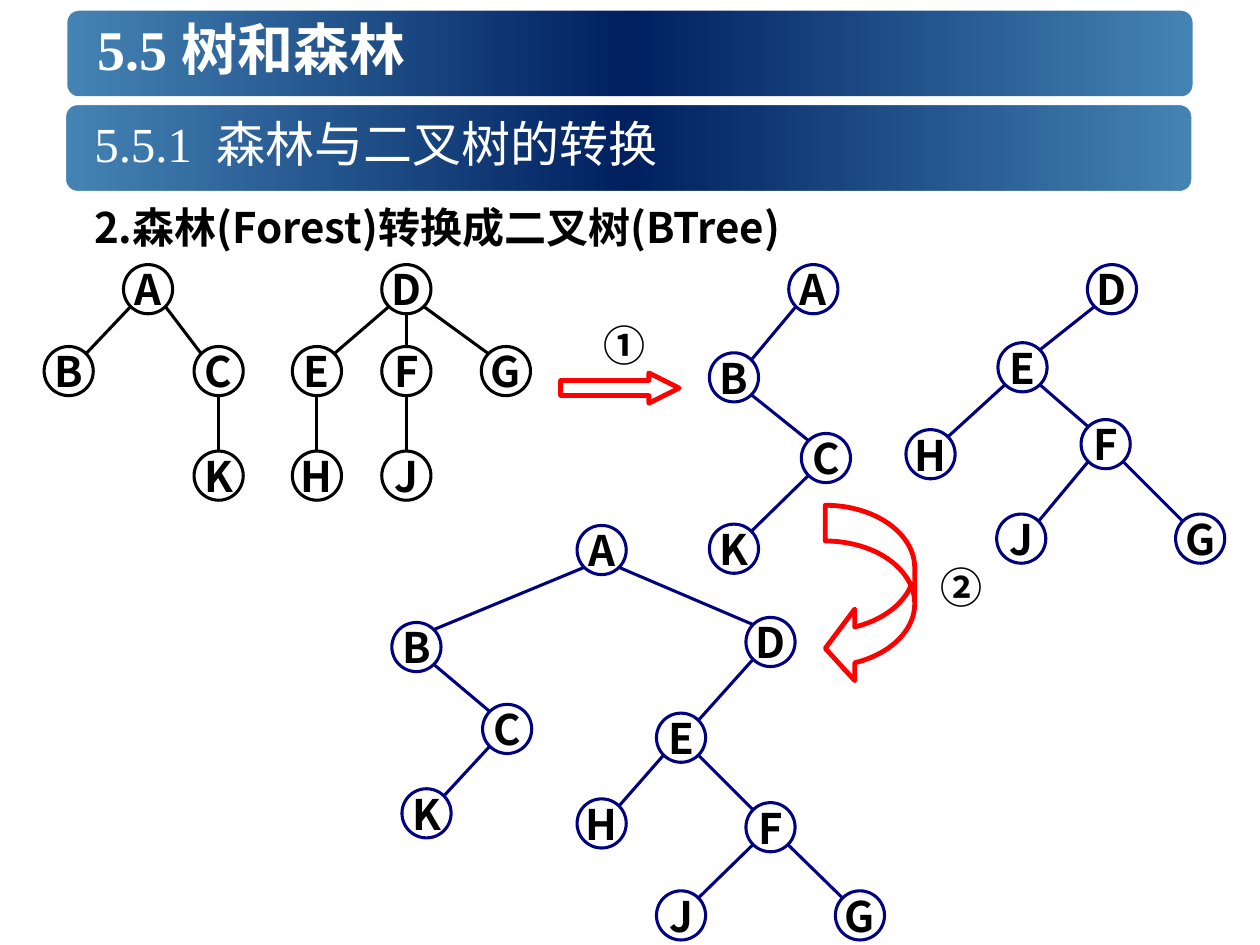
from copy import deepcopy
from math import sqrt

from pptx import Presentation
from pptx.dml.color import RGBColor
from pptx.enum.shapes import MSO_CONNECTOR, MSO_SHAPE
from pptx.enum.text import MSO_ANCHOR, MSO_AUTO_SIZE, PP_ALIGN
from pptx.oxml import parse_xml
from pptx.oxml.ns import nsdecls, qn
from pptx.util import Inches, Pt

STRAIGHT = MSO_CONNECTOR.STRAIGHT
OVAL, ROUNDED = MSO_SHAPE.OVAL, MSO_SHAPE.ROUNDED_RECTANGLE
RIGHT_ARROW, CURVED_ARROW = MSO_SHAPE.RIGHT_ARROW, MSO_SHAPE.CURVED_LEFT_ARROW
MIDDLE, TOP = MSO_ANCHOR.MIDDLE, MSO_ANCHOR.TOP
LEFT, CENTER = PP_ALIGN.LEFT, PP_ALIGN.CENTER
FIXED, GROW = MSO_AUTO_SIZE.NONE, MSO_AUTO_SIZE.SHAPE_TO_FIT_TEXT

WHITE = RGBColor(0xFF, 0xFF, 0xFF)
BLACK = RGBColor(0, 0, 0)
RED = RGBColor(0xFF, 0, 0)
NAVY = RGBColor(0, 0, 0x80)
BAR_EDGE = RGBColor(0x44, 0x84, 0xB4)
BAR_CENTER = RGBColor(0, 0x20, 0x60)

TITLE = {"name": "Times New Roman", "size": Pt(32), "bold": True, "color": WHITE}
SUBTITLE = TITLE | {"size": Pt(28), "bold": False}
BODY = {"name": "Noto Sans CJK SC", "size": Pt(24), "bold": True, "color": BLACK}

NODE_SIZE = 0.39
RADIUS = NODE_SIZE / 2

# Each tree: colour, left and top of every node, parent-child pairs
TREES = [
    (BLACK, {"A": (0.98, 2.1), "B": (0.35, 2.75), "C": (1.54, 2.75), "K": (1.54, 3.58)},
     "AB AC CK"),
    (BLACK, {"D": (3.03, 2.1), "E": (2.32, 2.75), "F": (3.03, 2.75), "G": (3.82, 2.75),
             "H": (2.32, 3.58), "J": (3.03, 3.58)},
     "DE DF DG EH FJ"),
    (NAVY, {"A": (6.26, 2.1), "B": (5.63, 2.8), "C": (6.36, 3.44), "K": (5.63, 4.16)},
     "AB BC CK"),
    (NAVY, {"D": (8.63, 2.1), "E": (7.92, 2.72), "H": (7.19, 3.41), "F": (8.58, 3.33),
            "J": (7.91, 4.08), "G": (9.33, 4.08)},
     "DE EH EF FJ FG"),
    (NAVY, {"A": (4.58, 4.17), "B": (3.11, 4.94), "C": (3.83, 5.59), "K": (3.19, 6.26),
            "D": (5.92, 4.9), "E": (5.21, 5.66), "H": (4.58, 6.34), "F": (5.92, 6.37),
            "J": (5.21, 7.07), "G": (6.63, 7.07)},
     "AB AD BC CK DE EH EF FJ FG"),
]


def write(shape, text, font, align=LEFT, **frame_values):
    """Fill the shape with one formatted paragraph and return that paragraph."""
    frame = shape.text_frame
    for key, value in frame_values.items():
        setattr(frame, key, value)
    para = frame.paragraphs[0]
    para.alignment = align
    span = para.add_run()
    span.text = text
    for key, value in font.items():
        if key == "color":
            span.font.color.rgb = value
        else:
            setattr(span.font, key, value)
    return para


def add_outline(kind, left, top, width, height, color, weight):
    """Add an unfilled preset shape without shadow."""
    shape = slide.shapes.add_shape(kind, Inches(left), Inches(top), Inches(width), Inches(height))
    shape.shadow.inherit = False
    shape.fill.background()
    shape.line.color.rgb = color
    shape.line.width = Pt(weight)
    return shape


deck = Presentation()
deck.slide_width, deck.slide_height = Inches(10), Inches(7.5)
slide = deck.slides.add_slide(deck.slide_layouts[5])
title = slide.shapes.title

# Header bars
for left, top in [(0.5, 0.05), (0.49, 0.8)]:
    bar = add_outline(ROUNDED, left, top, 9, 0.75, WHITE, 5)
    bar.fill.gradient()
    bar.fill.gradient_angle = 0
    stop_list = bar._element.spPr.find(".//" + qn("a:gsLst"))
    stop_list.append(deepcopy(stop_list[-1]))
    stops = zip(bar.fill.gradient_stops, [0, 0.5, 1], [BAR_EDGE, BAR_CENTER, BAR_EDGE])
    for stop, position, color in stops:
        stop.position = position
        stop.color.rgb = color
    title._element.addprevious(bar._element)

# Headings
title.left, title.top = Inches(0.67), Inches(0.05)
title.width, title.height = Inches(8.75), Inches(0.67)
write(title, "5.5 树和森林", TITLE, vertical_anchor=MIDDLE, word_wrap=True, auto_size=FIXED)

subtitle = slide.shapes.add_textbox(Inches(0.65), Inches(0.8), Inches(8.75), Inches(0.67))
write(subtitle, "5.5.1  森林与二叉树的转换", SUBTITLE, vertical_anchor=MIDDLE, word_wrap=True)

topic = slide.shapes.add_textbox(Inches(0.65), Inches(1.47), Inches(9.16), Inches(0.58))
para = write(topic, "2.森林(Forest)转换成二叉树(BTree)", BODY,
             vertical_anchor=TOP, word_wrap=True, auto_size=GROW)
para.line_spacing = 1.2
properties = para._p.get_or_add_pPr()
properties.set("marL", str(Inches(0.63)))
properties.set("indent", str(Inches(-0.63)))

# Trees: edges join the lower side of the parent to the upper side of the child
for color, nodes, edges in TREES:
    for letter, (left, top) in nodes.items():
        node = add_outline(OVAL, left, top, NODE_SIZE, NODE_SIZE, color, 1.75)
        write(node, letter, BODY, CENTER, vertical_anchor=MIDDLE, word_wrap=False)
    for parent, child in edges.split():
        (x1, y1), (x2, y2) = nodes[parent], nodes[child]
        side = (x2 > x1) - (x2 < x1)
        reach = RADIUS * sqrt(0.5) if side else RADIUS
        edge = slide.shapes.add_connector(
            STRAIGHT,
            Inches(x1 + RADIUS + side * reach), Inches(y1 + RADIUS + reach),
            Inches(x2 + RADIUS - side * reach), Inches(y2 + RADIUS - reach))
        edge.line.color.rgb = color
        edge.line.width = Pt(1.75)
        edge._element.spPr.append(parse_xml(f"<a:effectLst {nsdecls('a')}/>"))

# Conversion steps
for kind, bounds, adjustments, mark, mark_left, mark_top in [
    (RIGHT_ARROW, (4.45, 2.96, 0.94, 0.24), (0.5, 1), "①", 4.69, 2.49),
    (CURVED_ARROW, (6.55, 4.01, 0.71, 1.42), (0.4, 0.8, 0.33), "②", 7.37, 4.41),
]:
    arrow = add_outline(kind, *bounds, RED, 2.75)
    for index, value in enumerate(adjustments):
        arrow.adjustments[index] = value
    box = slide.shapes.add_textbox(Inches(mark_left), Inches(mark_top), Inches(0.4), Inches(0.5))
    write(box, mark, BODY, word_wrap=False, auto_size=GROW)

deck.save("out.pptx")
